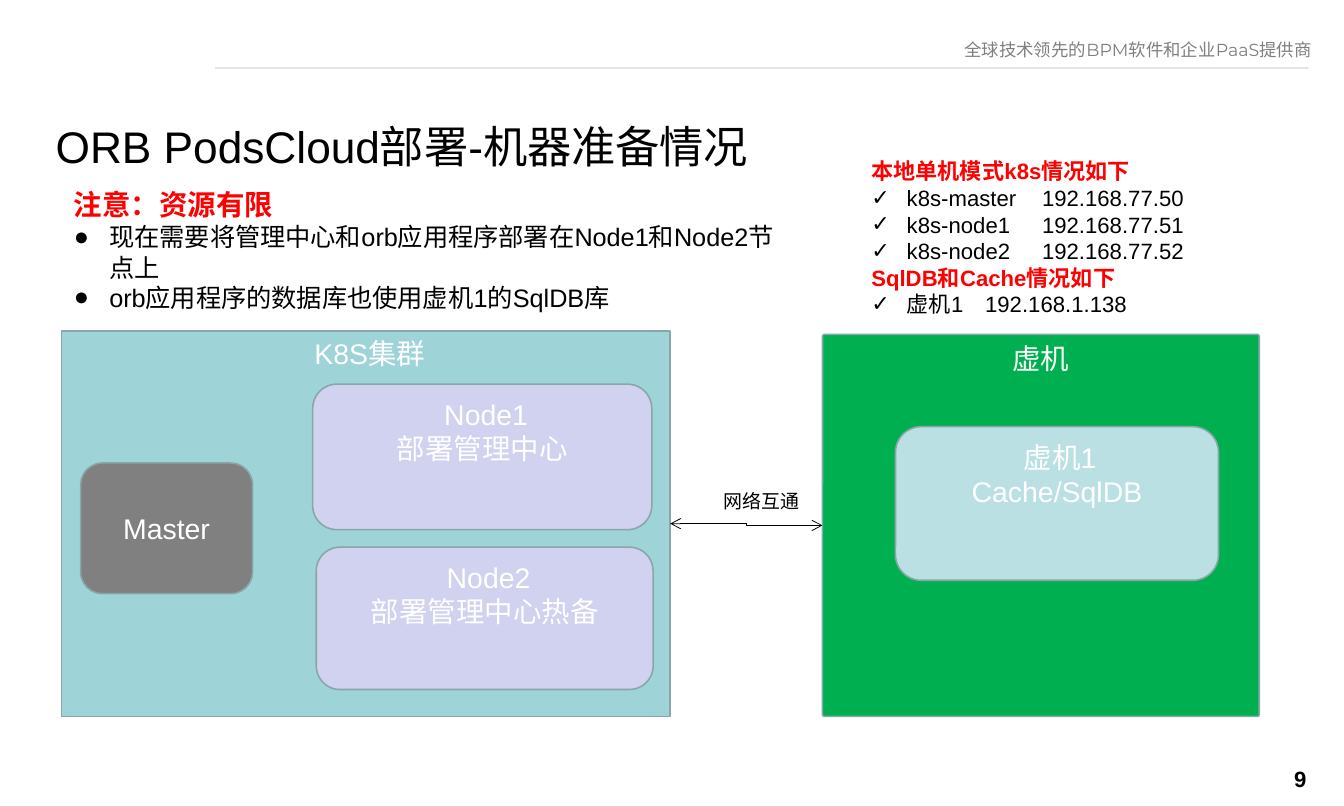
from lxml.etree import SubElement
from pptx import Presentation
from pptx.dml.color import RGBColor as Rgb
from pptx.enum.shapes import MSO_CONNECTOR as Link, MSO_SHAPE as Kind
from pptx.enum.text import MSO_ANCHOR as Anchor, PP_ALIGN as Align
from pptx.oxml.ns import qn
from pptx.util import Cm, Pt

BLACK = Rgb(0x00, 0x00, 0x00)
WHITE = Rgb(0xFF, 0xFF, 0xFF)
RED = Rgb(0xFF, 0x00, 0x00)
GRAY = Rgb(0x7F, 0x7F, 0x7F)
EDGE = Rgb(0x8A, 0xA6, 0xA8)
TEAL = Rgb(0x9E, 0xD3, 0xD7)
STONE = Rgb(0x80, 0x80, 0x80)
LILAC = Rgb(0xD1, 0xD1, 0xF0)
GREEN = Rgb(0x00, 0xB0, 0x50)
PALE = Rgb(0xBB, 0xE0, 0xE3)


def write(para, text, size=18, color=BLACK, bold=False, font="Arial",
          align=Align.LEFT, space=None, mark=None):
    """Fill a paragraph with formatted text and an optional bullet mark."""
    para.alignment = align
    if space:
        para.line_spacing = space
    if mark:
        props = para._p.get_or_add_pPr()
        props.set("marL", str(Cm(0.79)))
        props.set("indent", str(Cm(-0.79)))
        SubElement(props, qn("a:buFont")).set("typeface", "Arial")
        SubElement(props, qn("a:buChar")).set("char", mark)
    run = para.add_run()
    run.text = text
    face = run.font
    face.name, face.size, face.bold = font, Pt(size), bold
    face.color.rgb = color
    east = SubElement(run._r.get_or_add_rPr(), qn("a:ea"))
    east.set("typeface", "Noto Sans CJK SC")


def fill(frame, lines, **style):
    """Write each line, a text or a text with its own format, as a paragraph."""
    for i, line in enumerate(lines):
        text, own = (line, {}) if isinstance(line, str) else line
        para = frame.add_paragraph() if i else frame.paragraphs[0]
        write(para, text, **{**style, **own})


def label(slide, box, lines, wrap=True, **style):
    """Add a text box."""
    frame = slide.shapes.add_textbox(*map(Cm, box)).text_frame
    frame.word_wrap = wrap
    fill(frame, lines, **style)
    return frame


def block(slide, box, lines, color, round=None, anchor=Anchor.TOP):
    """Add a filled rounded box with centred white text."""
    shape = slide.shapes.add_shape(Kind.ROUNDED_RECTANGLE, *map(Cm, box))
    shape.shadow.inherit = False
    if round is not None:
        shape.adjustments[0] = round
    shape.fill.solid()
    shape.fill.fore_color.rgb = color
    shape.line.color.rgb = EDGE
    shape.line.width = Pt(1)
    shape.text_frame.vertical_anchor = anchor
    fill(shape.text_frame, lines, color=WHITE, align=Align.CENTER)
    return shape


def wire(slide, kind, ends, color, width):
    """Add a connector without a shadow."""
    line = slide.shapes.add_connector(kind, *map(Cm, ends))
    line.line.color.rgb = color
    line.line.width = Pt(width)
    SubElement(line._element.spPr, qn("a:effectLst"))
    return line


def header(slide, box):
    """Place the tagline above its pale rule."""
    x, y, w, h = box
    rule = wire(slide, Link.STRAIGHT, (x, y + h, x + w, y + h), GRAY, 0.75)
    tone = rule._element.spPr.find(".//" + qn("a:srgbClr"))
    SubElement(tone, qn("a:alpha")).set("val", "29000")
    frame = label(slide, (x + w - 10.57, y, 10.77, 0.69),
                  ["全球技术领先的BPM软件和企业PaaS提供商"], size=11, color=GRAY,
                  font="Montserrat", align=Align.RIGHT, space=0.9)
    frame.margin_left = frame.margin_right = Cm(0.13)
    frame.margin_top = frame.margin_bottom = Cm(0.13)


def title(slide, box):
    """Place the slide title."""
    shape = slide.shapes.title
    shape.left, shape.top, shape.width, shape.height = map(Cm, box)
    shape.text_frame.vertical_anchor = Anchor.MIDDLE
    fill(shape.text_frame, ["ORB PodsCloud部署-机器准备情况"], size=28)


def notes(slide, box, heads, mark, lines, size, top):
    """Place red headings, each followed by its bulleted lines."""
    rows = []
    for head, items in zip(heads, lines):
        rows.append((head, dict(size=top, color=RED, bold=True)))
        rows += [(item, dict(mark=mark)) for item in items]
    label(slide, box, rows, size=size)


def cluster(slide, box):
    """Draw the cluster with its master and two nodes."""
    x, y, w, h = box
    frame = block(slide, box, [" K8S集群"], TEAL, 0)
    block(slide, (x + 0.43, y + 2.95, 3.84, 2.92), ["Master"], STONE,
          anchor=Anchor.MIDDLE)
    block(slide, (x + 5.61, y + 1.19, 7.57, 3.25),
          [" Node1", "部署管理中心"], LILAC)
    block(slide, (x + 5.69, y + 4.83, 7.52, 3.18),
          [" Node2", "部署管理中心热备"], LILAC)
    return frame


def host(slide, box):
    """Draw the virtual machine area."""
    x, y, w, h = box
    frame = block(slide, box, ["虚机"], GREEN, 0.005)
    block(slide, (x + 1.63, y + 2.06, 7.21, 3.43),
          [" 虚机1", "Cache/SqlDB"], PALE)
    return frame


def bridge(slide, left, right, box):
    """Join two areas with a labelled double arrow."""
    line = wire(slide, Link.ELBOW, (0, 0, 1, 1), BLACK, 0.5)
    line.begin_connect(left, 3)
    line.end_connect(right, 1)
    for tag in ("a:headEnd", "a:tailEnd"):
        SubElement(line.line._get_or_add_ln(), qn(tag)).set("type", "arrow")
    label(slide, box, ["网络互通"], wrap=False, size=12)


def main():
    """Build and save the slide."""
    deck = Presentation()
    deck.slide_width, deck.slide_height = Cm(30), Cm(18)
    slide = deck.slides.add_slide(deck.slide_layouts[5])
    header(slide, (4.8, 0.79, 24.41, 0.73))
    title(slide, (0.99, 2.62, 28.12, 1.27))
    label(slide, (27.81, 16.97, 1.6, 1.04), ["9"], size=14, bold=True,
          align=Align.RIGHT)
    left = cluster(slide, (1.37, 7.39, 13.59, 8.61))
    right = host(slide, (18.36, 7.47, 9.75, 8.53))
    hosts = ("master", "node1", "node2")
    pods = [f"k8s-{name}\t192.168.77.{50 + i}" for i, name in enumerate(hosts)]
    notes(slide, (19.2, 3.4, 9.45, 3.84),
          ["本地单机模式k8s情况如下", "SqlDB和Cache情况如下"], "✓",
          [pods, ["虚机1\t192.168.1.138"]], 14, 14)
    notes(slide, (1.4, 4.06, 16.21, 3.07), ["注意：资源有限"], "●",
          [["现在需要将管理中心和orb应用程序部署在Node1和Node2节点上",
            "orb应用程序的数据库也使用虚机1的SqlDB库"]], 16, 18)
    bridge(slide, left, right, (15.9, 10.82, 2.21, 0.76))
    deck.save("out.pptx")


if __name__ == "__main__":
    main()
